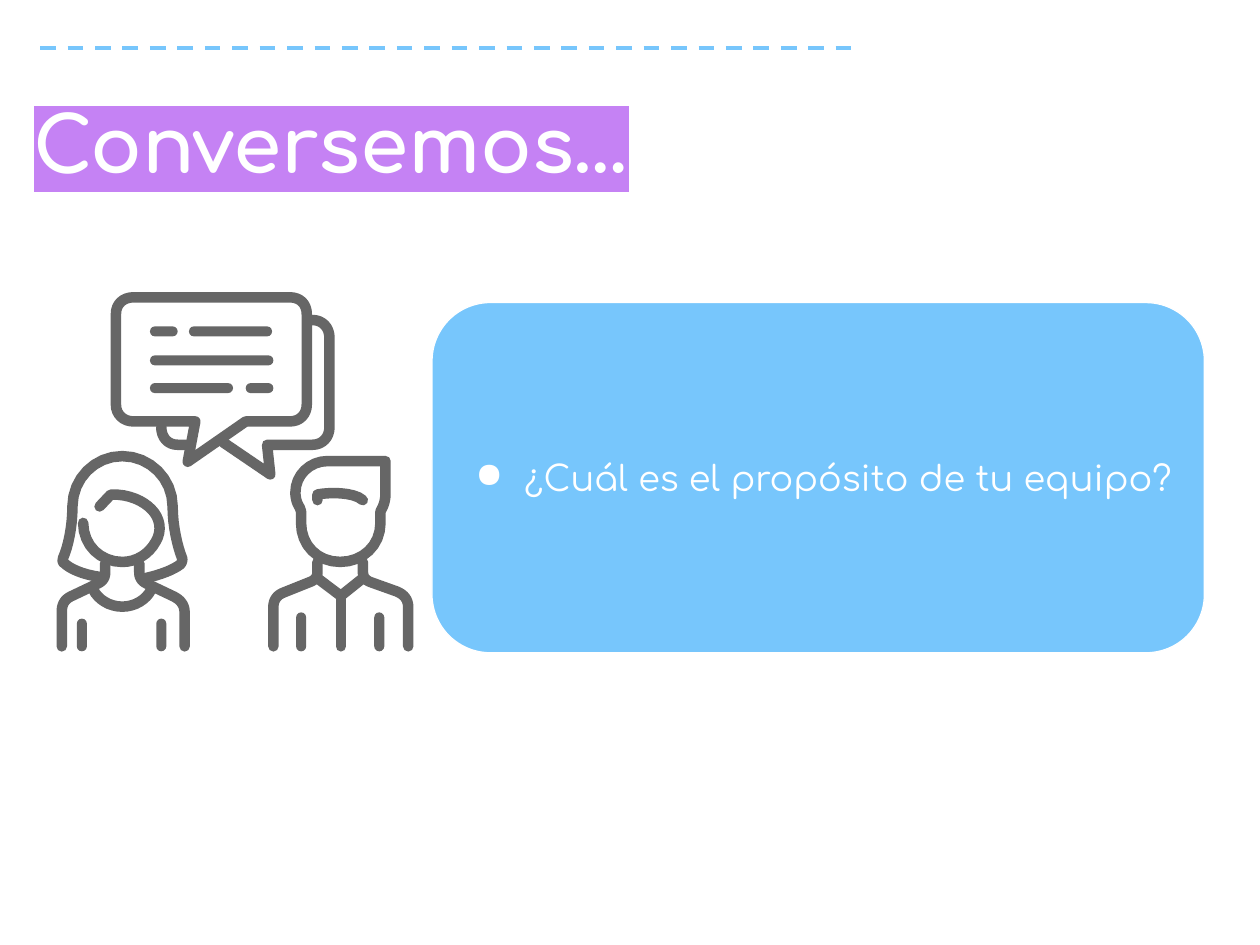
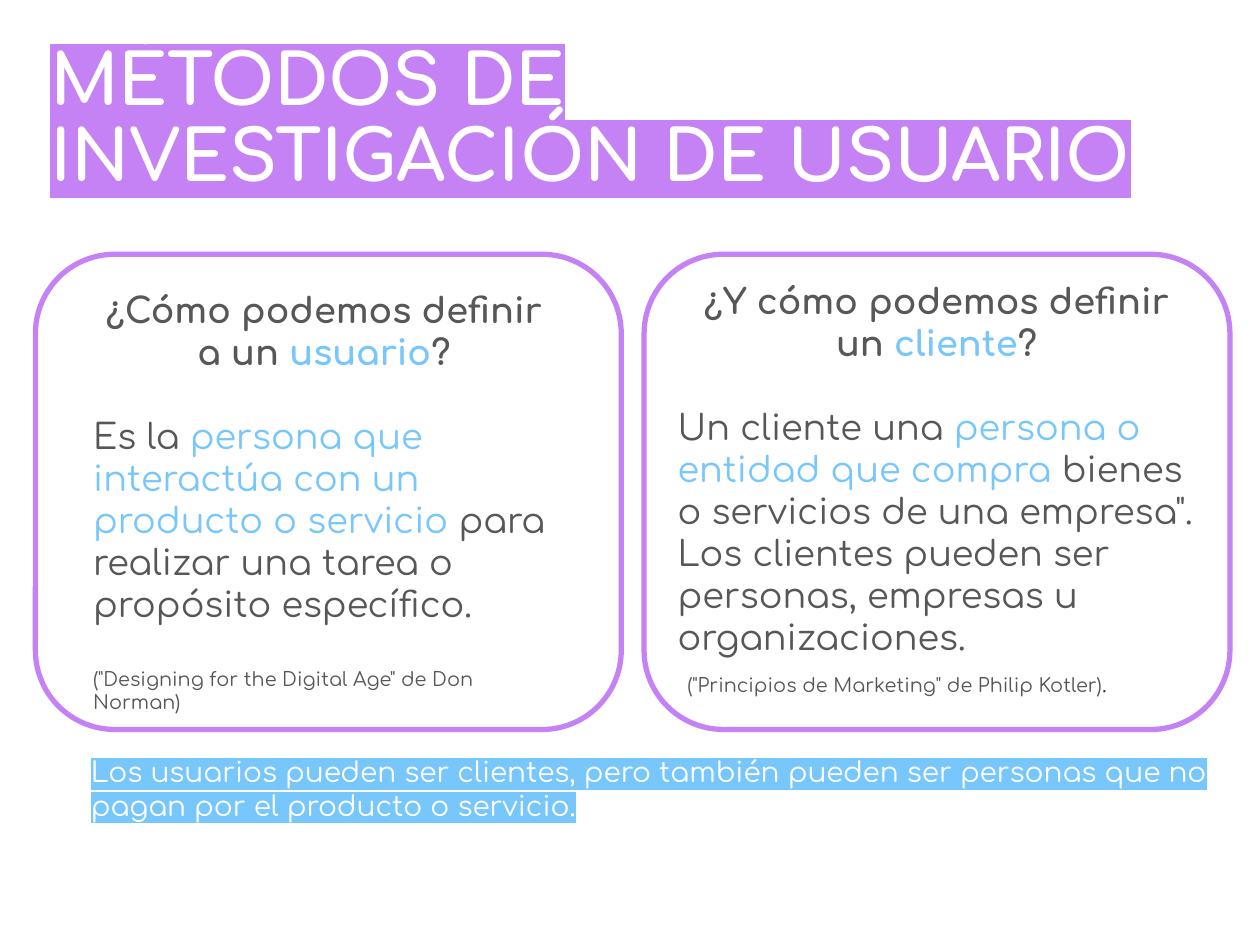
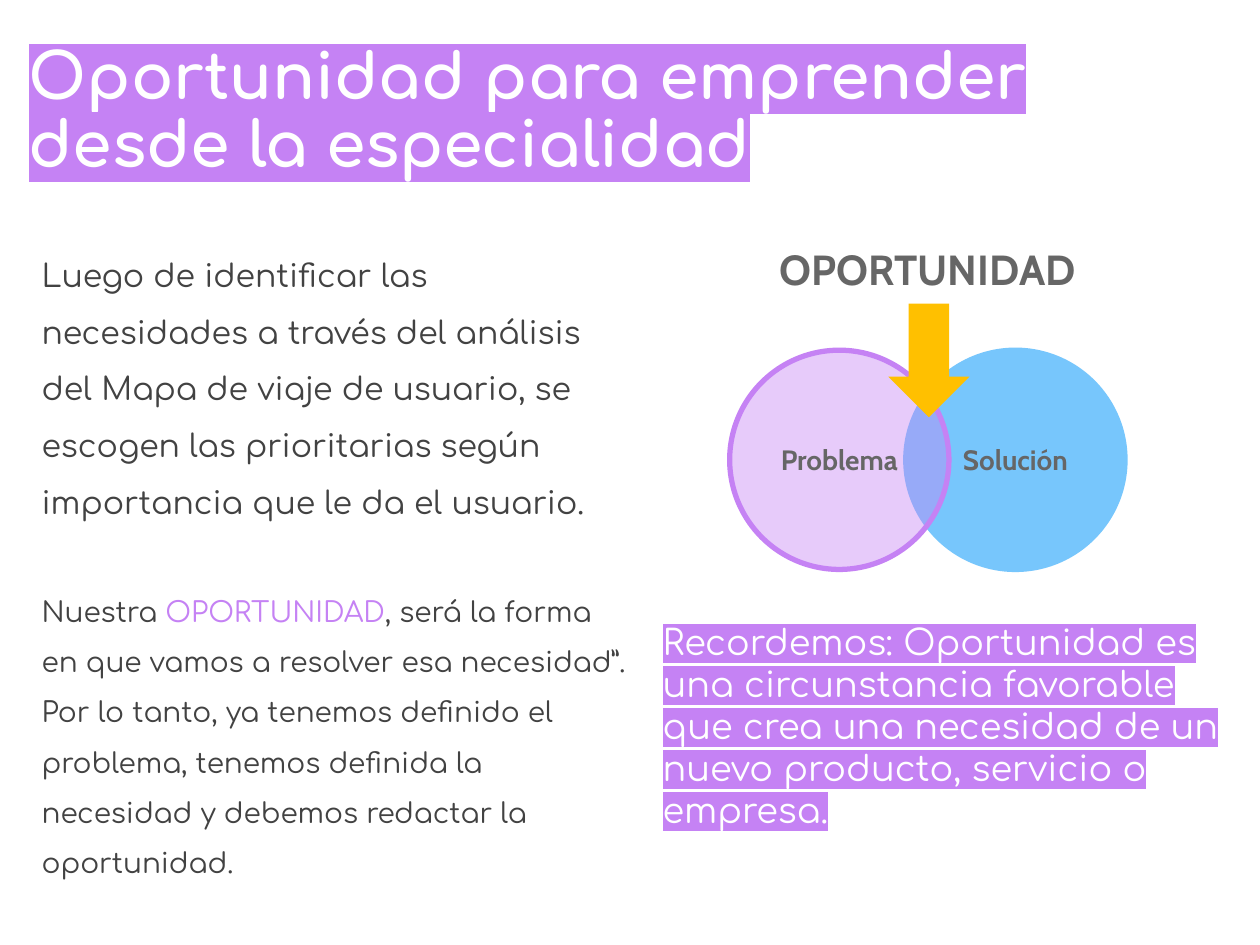
"""Builds three slides on user research and business opportunity."""
from dataclasses import dataclass

from lxml import etree
from pptx import Presentation
from pptx.dml.color import RGBColor
from pptx.enum.dml import MSO_LINE
from pptx.enum.shapes import MSO_CONNECTOR, MSO_SHAPE
from pptx.enum.text import MSO_ANCHOR, MSO_AUTO_SIZE, PP_ALIGN
from pptx.oxml.ns import qn
from pptx.util import Cm, Pt

LEFT, CENTER = PP_ALIGN.LEFT, PP_ALIGN.CENTER
TOP, MIDDLE = MSO_ANCHOR.TOP, MSO_ANCHOR.MIDDLE
NO_AUTOFIT = MSO_AUTO_SIZE.NONE
ROUND_RECT, OVAL = MSO_SHAPE.ROUNDED_RECTANGLE, MSO_SHAPE.OVAL
RIGHT_ARROW = MSO_SHAPE.RIGHT_ARROW
STRAIGHT, DASH = MSO_CONNECTOR.STRAIGHT, MSO_LINE.DASH
TITLE_AND_BODY, TITLE_ONLY = 1, 5


@dataclass(frozen=True)
class Theme:
    """Colours, fonts, type sizes and insets shared by the slides."""
    purple: str = "C582F4"
    blue: str = "77C6FC"
    white: str = "FFFFFF"
    yellow: str = "FFC000"
    grey: str = "666666"
    card_ink: str = "575757"
    body_ink: str = "424242"
    dot_ink: str = "1F1F1F"
    font: str = "Comfortaa"
    label_font: str = "Cabin"
    label: int = 24
    large: int = 20
    lead: int = 18
    medium: int = 16
    source: int = 11
    wide: tuple = (0.25, 0.25)
    tight: tuple = (0.15, 0.08)


T = Theme()

TALK = {
    "title": ("Conversemos…", 44, (0.43, 1.7, 23.34, 2.39), 1),
    "question": "¿Cuál es el propósito de tu equipo?",
}
METHODS = {
    "title": ("MÉTODOS DE INVESTIGACIÓN DE USUARIO", 40, (0.76, 0.66, 22.96, 3.2), 0.9),
    "cards": [
        (1.83, (1.73, 5.74, 9.6, 8.79), [
            dict(text=["¿Cómo podemos definir a un ", ("usuario", T.blue), "?"],
                 bold=True, align=CENTER),
            dict(text=["Es la ",
                       ("persona que interactúa con un producto o servicio", T.blue),
                       " para realizar una tarea o propósito específico."], before=24),
            dict(text='("Designing for the Digital Age" de Don Norman)',
                 size=T.source, before=24),
        ]),
        (14.1, (13.51, 5.56, 10.74, 8.69), [
            dict(text=["¿Y cómo podemos definir un ", ("cliente", T.blue), "?"],
                 bold=True, align=CENTER),
            dict(text=["Un cliente una ", ("persona o entidad que compra", T.blue),
                       ' bienes o servicios de una empresa". Los clientes pueden ser'
                       " personas, empresas u organizaciones."], before=24),
            dict(text=['("Principios de Marketing" de Philip Kotler)', (".", T.dot_ink)],
                 size=T.source, before=9, indent=0.2),
        ]),
    ],
    "note": "Los usuarios pueden ser clientes, pero también pueden ser personas que no "
            "pagan por el producto o servicio.",
}
CHANCE = {
    "title": ("Oportunidad para emprender desde la especialidad", 36,
              (0.33, 0.66, 24.38, 1.8), 0.9),
    "body": [
        dict(text="Luego de identificar las necesidades a través del análisis del Mapa de "
                  "viaje de usuario, se escogen las prioritarias según importancia que le "
                  "da el usuario.", size=T.lead),
        dict(text=["Nuestra ", ("OPORTUNIDAD", T.purple),
                   ", será la forma en que vamos a resolver esa necesidad”. Por lo tanto, "
                   "ya tenemos definido el problema, tenemos definida la necesidad y "
                   "debemos redactar la oportunidad."], size=T.medium, before=32.4),
    ],
    "reminder": "Recordemos: Oportunidad es una circunstancia favorable que crea una "
                "necesidad de un nuevo producto, servicio o empresa.",
    "label": "OPORTUNIDAD",
    "circles": [("Solución", 18.26, T.blue, None), ("Problema", 14.71, T.purple, 41)],
}

ICON_UNIT = Cm(0.0254)
ICON_STROKE = 6
WOMAN = [
    [(80, 458), (65, 456, 55, 451, 51, 447), (49, 446, 50, 444, 50, 443),
     (54, 434, 57.5, 418, 57.5, 402), (57.5, 380, 75, 362, 97, 362),
     (119, 362, 137, 380, 137, 402), (137, 418, 141, 434, 144.5, 443),
     (145, 445, 144, 447, 143, 448), (138, 452, 128, 456, 115, 459)],
    [(66, 415), (66, 433, 80, 446, 97, 446), (108, 446, 118, 440, 123.5, 430),
     (129, 421, 127, 411, 120, 404), (114, 398, 103, 392, 88, 392.5), (79, 402)],
    [(83.5, 447), (83.5, 454), (83.5, 458, 82, 461, 78, 463), (56, 473.5),
     (51, 476, 49, 480, 49, 486), (49, 513)],
    [(110.5, 447), (110.5, 454), (110.5, 458, 112, 461, 116, 463), (138, 473.5),
     (143, 476, 146.5, 480, 146.5, 486), (146.5, 513)],
    [(74, 468), (78, 476, 87, 481.5, 97, 481.5), (107, 481.5, 116, 476, 120, 468)],
]
MAN = [
    [(306, 366), (306, 391), (306, 396, 305, 400, 303.5, 403), (302, 406), (302, 415),
     (302, 433, 288, 446, 270, 446), (252, 446, 239, 433, 239, 415), (239, 406),
     (238, 403), (236, 400, 234.5, 396, 234.5, 391), (234.5, 377, 246, 366, 260, 366),
     (306, 366)],
    [(252, 446), (252, 454), (252, 458, 250, 460.5, 246, 462), (226, 470),
     (220, 472, 217, 476, 217, 482), (217, 513)],
    [(288, 446), (288, 453), (288, 458, 290, 460.5, 294, 462), (315, 469.5),
     (321, 472, 324, 476, 324, 482), (324, 513)],
    [(252, 459), (270.5, 473), (288, 459)],
    [(270.5, 473), (270.5, 513)],
    [(252, 397), (252, 392.5), (260, 391, 280, 390, 288, 397)],
]
BUBBLES = [
    [(106, 236), (230, 236), (238, 236, 243.5, 241, 243.5, 249.5), (243.5, 321),
     (243.5, 329, 238, 334.5, 230, 334.5), (195, 334.5), (149, 366.5), (155, 334.5),
     (106, 334.5), (98, 334.5, 92, 329, 92, 321), (92, 249.5),
     (92, 241, 98, 236, 106, 236)],
    [(248, 254), (256, 254, 261.5, 260, 261.5, 268), (261.5, 339),
     (261.5, 347, 256, 353, 248, 353), (212, 353), (214.5, 376.5), (177, 351)],
    [(128, 339), (128, 347, 133, 353, 141, 353), (149, 353)],
]
BARS = [
    (61, 491, 8, 26), (124, 491, 8, 26), (235, 486, 8, 31), (297, 486, 8, 31),
    (119, 259, 22, 8), (150, 259, 66, 8), (119, 282, 98, 8),
    (119, 304, 66, 8), (195, 304, 22, 8),
]


def rgb(color):
    """Turns a hex string into a colour."""
    return RGBColor.from_string(color)


def color_element(parent, tag, color):
    """Adds a colour-holding element such as a highlight or bullet colour."""
    el = etree.SubElement(parent, qn(tag))
    etree.SubElement(el, qn("a:srgbClr"), val=color)
    return el


def add_text(p, text, size=T.large, color=T.white, font=T.font, bold=False, highlight=None):
    """Adds one formatted run to a paragraph."""
    r = p.add_run()
    r.text = text
    f = r.font
    f.size, f.name, f.bold = Pt(size), font, bold
    f.color.rgb = rgb(color)
    if highlight:
        el = color_element(r._r.rPr, "a:highlight", highlight)
        r._r.rPr.find(qn("a:latin")).addprevious(el)


def add_paragraph(p, text, align=LEFT, before=0, spacing=1, indent=0, hanging=0,
                  bullet=None, **fmt):
    """Formats a paragraph and adds its runs, some with a colour of their own."""
    p.alignment, p.line_spacing, p.space_before = align, float(spacing), Pt(before)
    pPr = p._p.get_or_add_pPr()
    pPr.set("marL", str(Cm(indent)))
    pPr.set("indent", str(Cm(-hanging)))
    if bullet:
        color_element(pPr, "a:buClr", T.white)
        etree.SubElement(pPr, qn("a:buChar"), char=bullet)
    else:
        etree.SubElement(pPr, qn("a:buNone"))
    for part in [text] if isinstance(text, str) else text:
        if isinstance(part, str):
            add_text(p, part, **fmt)
        else:
            add_text(p, part[0], **{**fmt, "color": part[1]})


def write(sp, paragraphs, inset=T.wide, anchor=TOP, **shared):
    """Fills a shape with paragraphs that share a format."""
    tf = sp.text_frame
    tf.word_wrap, tf.auto_size, tf.vertical_anchor = True, NO_AUTOFIT, anchor
    tf.margin_left = tf.margin_right = Cm(inset[0])
    tf.margin_top = tf.margin_bottom = Cm(inset[1])
    for i, item in enumerate(paragraphs):
        p = tf.add_paragraph() if i else tf.paragraphs[0]
        add_paragraph(p, **{**shared, **item})


def place(sp, box):
    """Moves a placeholder to a box given in centimetres."""
    sp.left, sp.top, sp.width, sp.height = map(Cm, box)
    return sp


def add_box(s, box):
    """Adds an empty text box."""
    return s.shapes.add_textbox(*map(Cm, box))


def style(sp, fill=None, line=None, width=0.75):
    """Sets fill and line and removes the shadow."""
    sp.shadow.inherit = False
    if fill:
        sp.fill.solid()
        sp.fill.fore_color.rgb = rgb(fill)
    else:
        sp.fill.background()
    if line:
        sp.line.color.rgb = rgb(line)
        sp.line.width = Pt(width)
    else:
        sp.line.fill.background()
    return sp


def add_shape(s, kind, box, **look):
    """Adds a styled preset shape."""
    return style(s.shapes.add_shape(kind, *map(Cm, box)), **look)


def add_slide(prs, layout, title):
    """Adds a slide with a highlighted title."""
    text, size, box, spacing = title
    s = prs.slides.add_slide(prs.slide_layouts[layout])
    write(place(s.shapes.title, box), [dict(text=text)], size=size, spacing=spacing,
          bold=True, highlight=T.purple)
    return s


def flatten(stroke, steps=8):
    """Turns lines and cubic curves into points in EMU."""
    points = [stroke[0]]
    for seg in stroke[1:]:
        if len(seg) == 2:
            points.append(seg)
            continue
        corners = [points[-1], seg[:2], seg[2:4], seg[4:]]
        for i in range(1, steps + 1):
            t = i / steps
            u = 1 - t
            weights = (u ** 3, 3 * u * u * t, 3 * u * t * t, t ** 3)
            points.append(tuple(sum(w * c[k] for w, c in zip(weights, corners))
                                for k in (0, 1)))
    return [(x * ICON_UNIT, y * ICON_UNIT) for x, y in points]


def add_icon(s):
    """Draws two people talking as one group of thick rounded strokes."""
    shapes = s.shapes.add_group_shape().shapes
    for figure in (WOMAN, MAN, BUBBLES):
        outlines = [flatten(stroke) for stroke in figure]
        fb = shapes.build_freeform(*outlines[0][0])
        for i, points in enumerate(outlines):
            if i:
                fb.move_to(*points[0])
            fb.add_line_segments(points[1:], close=False)
        sp = style(fb.convert_to_shape(), line=T.grey, width=ICON_STROKE)
        ln = sp._element.spPr.find(qn("a:ln"))
        ln.set("cap", "rnd")
        etree.SubElement(ln, qn("a:round"))
    for bar in BARS:
        sp = shapes.add_shape(ROUND_RECT, *(v * ICON_UNIT for v in bar))
        style(sp, fill=T.grey).adjustments[0] = 0.5


def build_talk(prs):
    """Builds the conversation slide."""
    s = add_slide(prs, TITLE_ONLY, TALK["title"])
    add_icon(s)
    sp = add_shape(s, ROUND_RECT, (8.71, 6.1, 15.57, 7.06), fill=T.blue, line=T.white)
    write(sp, [dict(text=TALK["question"])], anchor=MIDDLE, indent=1.27, hanging=0.99,
          bullet="●")
    rule = s.shapes.add_connector(STRAIGHT, *map(Cm, (0.81, 0.97, 17.17, 0.97)))
    rule.line.color.rgb = rgb(T.blue)
    rule.line.width, rule.line.dash_style = Pt(2.25), DASH
    etree.SubElement(rule._element.spPr, qn("a:effectLst"))


def build_methods(prs):
    """Builds the slide that defines user and client."""
    s = add_slide(prs, TITLE_AND_BODY, METHODS["title"])
    for left, text_box, paragraphs in METHODS["cards"]:
        card = add_shape(s, ROUND_RECT, (left, 4.01, 9.58, 11.81), fill=T.white,
                         line=T.purple, width=3)
        card.rotation = 270
        write(add_box(s, text_box), paragraphs, inset=T.tight, color=T.card_ink)
    write(place(s.placeholders[1], (0.41, 15.14, 24.56, 1.52)),
          [dict(text=METHODS["note"])], inset=T.tight, size=T.medium, indent=1.27,
          highlight=T.blue)


def build_chance(prs):
    """Builds the slide on where problem and solution meet."""
    s = add_slide(prs, TITLE_AND_BODY, CHANCE["title"])
    write(place(s.placeholders[1], (0.69, 4.7, 12.22, 12.88)), CHANCE["body"],
          inset=T.tight, color=T.body_ink, spacing=1.5)
    write(add_box(s, (13.21, 12.42, 11.94, 4.42)), [dict(text=CHANCE["reminder"])],
          inset=T.tight, highlight=T.purple)
    label = dict(align=CENTER, font=T.label_font, color=T.grey, bold=True)
    write(add_box(s, (14.71, 4.65, 7.98, 1.55)), [dict(text=CHANCE["label"])],
          size=T.label, **label)
    for text, left, color, opacity in CHANCE["circles"]:
        sp = add_shape(s, OVAL, (left, 7.06, 4.42, 4.42), fill=color, line=color, width=3)
        if opacity:
            fill = sp._element.spPr.find(qn("a:solidFill"))
            etree.SubElement(fill[0], qn("a:alpha"), val=str(opacity * 1000))
        write(sp, [dict(text=text)], anchor=MIDDLE, size=T.medium, **label)
    add_shape(s, RIGHT_ARROW, (17.58, 6.45, 2.29, 1.63), fill=T.yellow).rotation = 90


def main():
    """Builds and saves the presentation."""
    prs = Presentation()
    prs.slide_width, prs.slide_height = Cm(25.4), Cm(19.05)
    for build in (build_talk, build_methods, build_chance):
        build(prs)
    prs.save("out.pptx")


if __name__ == "__main__":
    main()
